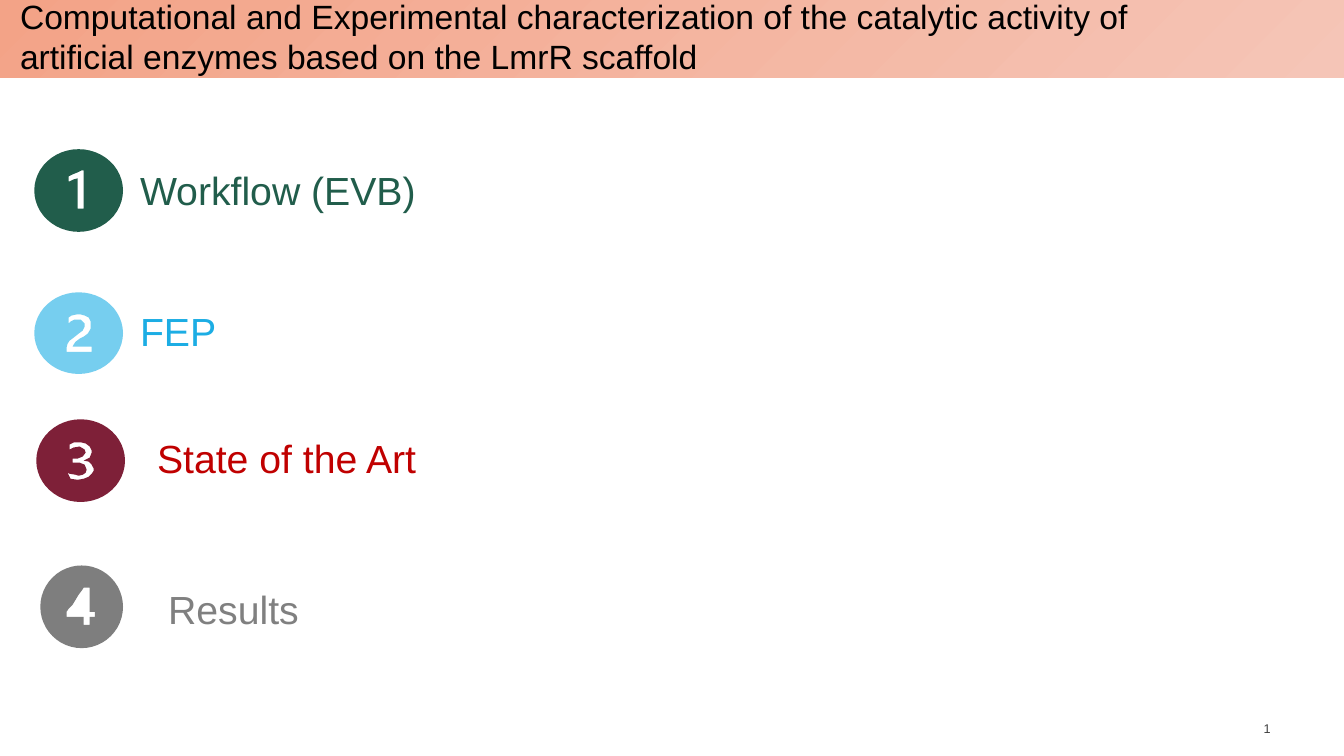
import math

import pptx
import pptx.dml.color
import pptx.enum.shapes
import pptx.enum.text
import pptx.util

EMU_PER_PX = 9144  # 100 px to the inch
FONT = "Arial"
COLORS = {
    "black": "000000",
    "number": "3F3F3F",
    "band_left": "F3A387",
    "band_right": "F5C5B7",
    "green": "215D4B",
    "light_blue": "76CEEF",
    "blue": "1CADE4",
    "maroon": "7E2038",
    "red": "C00000",
    "disc_gray": "7E7E7E",
    "gray": "808080",
}

# Outlines of the numerals cut out of the discs, in slide px
ONE = [(81, 169), (83, 169), (83, 207), (77, 207), (77, 177), (73, 178),
       (69, 180), (68, 180), (68, 175), (72, 173), (77, 171)]
TWO = [(66, 349), (66, 345), (67, 341), (69, 338), (73, 335), (78, 331),
       (82, 328), (84, 324), (84, 321), (83, 320), (80, 317), (78, 317),
       (74, 317), (70, 319), (68, 321), (68, 315), (71, 313), (76, 312),
       (80, 312), (84, 313), (88, 315), (90, 319), (90, 326), (87, 331),
       (83, 334), (79, 336), (75, 339), (73, 342), (72, 344), (91, 344),
       (91, 349)]
THREE = [(67, 469), (69, 470), (75, 471), (78, 472), (82, 471), (85, 469),
         (86, 466), (84, 461), (79, 459), (72, 459), (72, 455), (77, 455),
         (82, 453), (85, 449), (84, 446), (79, 443), (73, 444), (69, 446),
         (69, 441), (73, 439), (81, 439), (85, 440), (89, 443), (91, 447),
         (91, 449), (89, 454), (85, 456), (83, 457), (88, 458), (91, 461),
         (93, 465), (93, 467), (91, 470), (88, 473), (83, 475), (77, 476),
         (70, 475)]
FOUR = [(83, 583), (89, 583), (89, 607), (94, 607), (94, 612), (89, 612),
        (89, 620), (83, 620), (83, 612), (66, 612), (66, 607), (68, 604),
        (72, 600), (75, 595), (78, 590), (81, 586)]

# disc box, numeral, disc colour, label, label box, label colour
AGENDA = [
    ((34, 148, 88, 82), ONE, "green", "Workflow (EVB)", (129, 160, 705, 57), "green"),
    ((34, 290, 88, 81), TWO, "light_blue", "FEP", (129, 300, 869, 57), "blue"),
    ((36, 416, 88, 82), THREE, "maroon", "State of the Art", (146, 426, 402, 57), "red"),
    ((40, 561, 82, 82), FOUR, "disc_gray", "Results", (157, 576, 233, 56), "gray"),
]


def px(length):
    return pptx.util.Emu(round(length * EMU_PER_PX))


def rgb(name):
    return pptx.dml.color.RGBColor.from_string(COLORS[name])


def ellipse_points(left, top, width, height, count=48):
    angles = [2 * math.pi * step / count for step in range(count)]
    return [(left + width / 2 * (1 + math.cos(angle)),
             top + height / 2 * (1 + math.sin(angle))) for angle in angles]


class SlideBuilder:
    def __init__(self, slide, font):
        self.shapes = slide.shapes
        self.font = font

    def band(self, box, start, end, angle):
        """Rectangle filled with a two-colour linear gradient."""
        band = self.shapes.add_shape(
            pptx.enum.shapes.MSO_SHAPE.RECTANGLE, *map(px, box))
        band.shadow.inherit = False
        band.line.fill.background()
        band.fill.gradient()
        band.fill.gradient_angle = angle
        for stop, color, position in zip(band.fill.gradient_stops, (start, end), (0, 1)):
            stop.color.rgb = rgb(color)
            stop.position = position

    def badge(self, box, numeral, color):
        """Disc with the numeral left open as a hole."""
        outline = None
        for contour in (ellipse_points(*box), numeral):
            first, *rest = [(px(x), px(y)) for x, y in contour]
            if outline is None:
                outline = self.shapes.build_freeform(*first, scale=1.0)
            else:
                outline.move_to(*first)
            outline.add_line_segments(rest, close=True)
        disc = outline.convert_to_shape()
        disc.shadow.inherit = False
        disc.fill.solid()
        disc.fill.fore_color.rgb = rgb(color)
        disc.line.fill.background()

    def text(self, text, box, size, color, align="LEFT", anchor="TOP"):
        frame = self.shapes.add_textbox(*map(px, box)).text_frame
        frame.word_wrap = True
        frame.vertical_anchor = pptx.enum.text.MSO_ANCHOR[anchor]
        frame.text = text
        for paragraph in frame.paragraphs:
            paragraph.alignment = pptx.enum.text.PP_ALIGN[align]
            for run in paragraph.runs:
                run.font.name = self.font
                run.font.size = pptx.util.Pt(size)
                run.font.color.rgb = rgb(color)


def main():
    deck = pptx.Presentation()
    deck.slide_width, deck.slide_height = px(1333), px(750)
    page = SlideBuilder(deck.slides.add_slide(deck.slide_layouts[6]), FONT)

    page.band((0, -1, 1333, 78), "band_left", "band_right", angle=315)
    page.text("Computational and Experimental characterization of the catalytic activity of\n"
              "artificial enzymes based on the LmrR scaffold",
              (10, -9, 1349, 90), size=24, color="black")
    for disc_box, numeral, disc_color, label, label_box, label_color in AGENDA:
        page.badge(disc_box, numeral, disc_color)
        page.text(label, label_box, size=28, color=label_color)
    page.text("1", (1155, 703, 115, 40), size=9, color="number",
              align="RIGHT", anchor="MIDDLE")

    deck.save("out.pptx")


if __name__ == "__main__":
    main()
